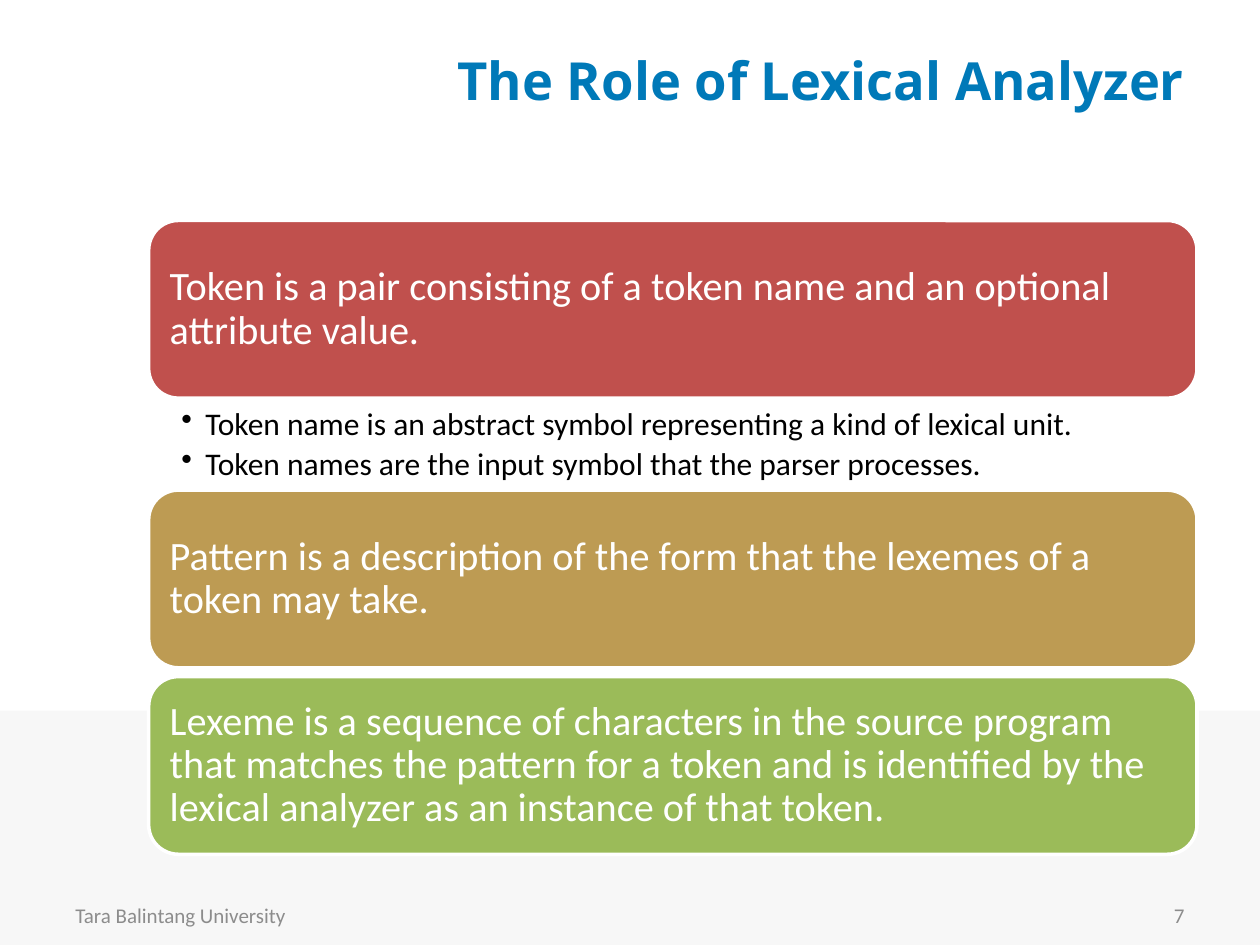
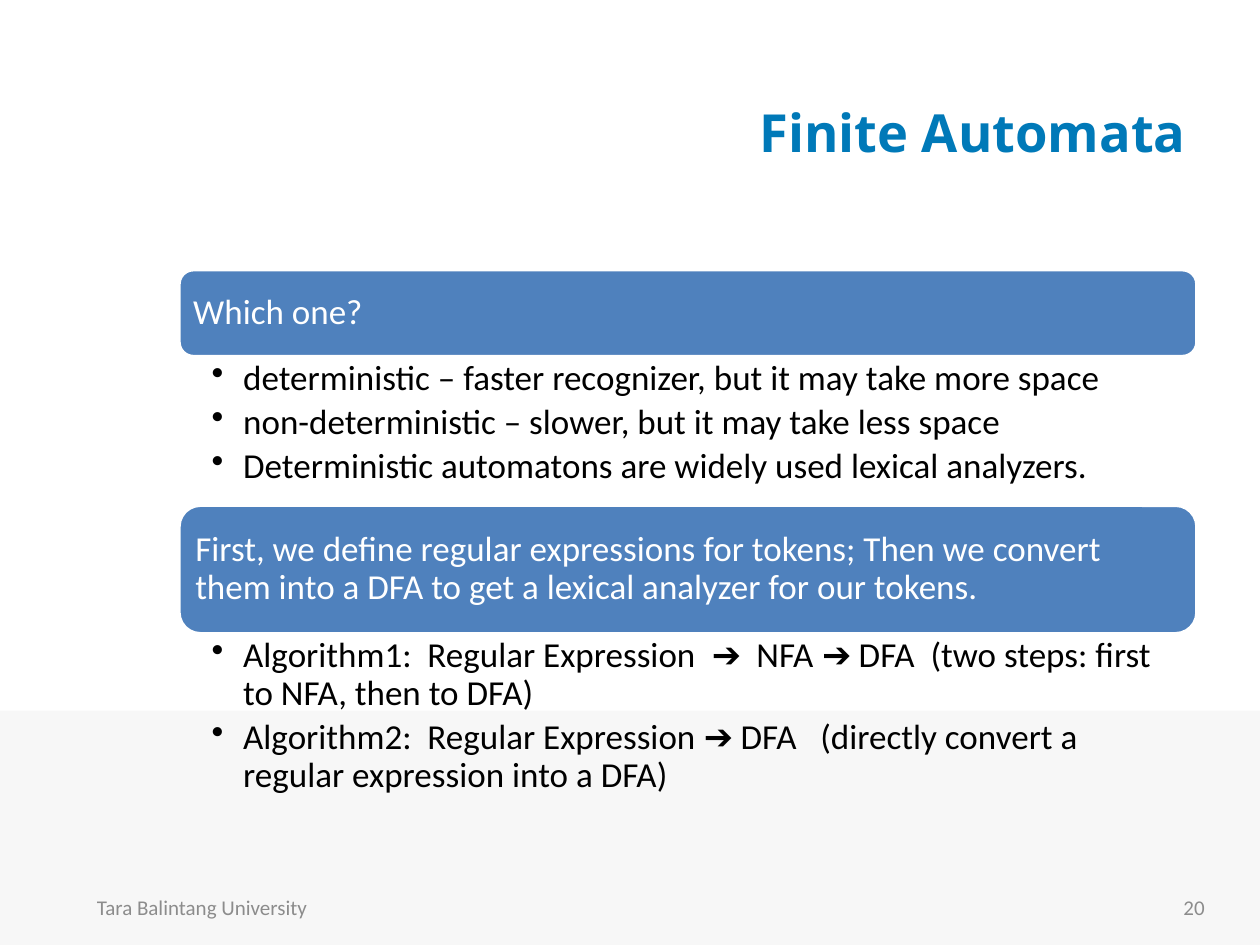
"""Build two lecture slides on lexical analysis."""
from dataclasses import dataclass

from lxml.etree import SubElement as Sub
from pptx import Presentation
from pptx.dml.color import RGBColor as RGB
from pptx.enum.shapes import MSO_SHAPE as Form
from pptx.enum.text import MSO_ANCHOR as Anchor, PP_ALIGN as Align
from pptx.oxml.ns import qn
from pptx.util import Pt

PX = 9144


@dataclass(frozen=True)
class Theme:
    title: str = "0079B8"
    foot: str = "8C8C8C"
    band: str = "F7F7F7"
    white: str = "FFFFFF"
    black: str = "000000"
    red: str = "C0504D"
    gold: str = "BD9B53"
    green: str = "9BBB59"
    blue: str = "4F81BD"
    head: str = "Open Sans"
    body: str = "Calibri"
    title_pt: int = 30
    foot_pt: int = 12


T = Theme()


def block(slide, box, fill=None, form=None):
    """Add a text box, or a filled shape when a form is given."""
    area = [n * PX for n in box]
    if form is None:
        shape = slide.shapes.add_textbox(*area)
    else:
        shape = slide.shapes.add_shape(form, *area)
        shape.shadow.inherit = False
        shape.fill.solid()
        shape.fill.fore_color.rgb = RGB.from_string(fill)
        shape.line.fill.background()
    return shape


def write(shape, lines, size, color, font=T.body, bold=False, align=Align.LEFT,
          anchor=Anchor.MIDDLE, pads=(10, 5, 10, 5), lead=1.0, hang=0):
    """Fill a shape with paragraphs, bulleted when hang is set."""
    frame = shape.text_frame
    frame.word_wrap = True
    frame.vertical_anchor = anchor
    (frame.margin_left, frame.margin_top,
     frame.margin_right, frame.margin_bottom) = [n * PX for n in pads]
    for i, line in enumerate(lines):
        para = frame.add_paragraph() if i else frame.paragraphs[0]
        para.alignment = align
        para.line_spacing = lead
        run = para.add_run()
        run.text = line
        run.font.name = font
        run.font.size = Pt(size)
        run.font.bold = bold
        run.font.color.rgb = RGB.from_string(color)
        if hang:
            para.space_after = Pt(size * 0.18)
            props = para._p.get_or_add_pPr()
            props.set("marL", str(hang * PX))
            props.set("indent", str(-hang * PX))
            Sub(props, qn("a:buChar")).set("char", "•")


pages = [
    dict(
        title="The Role of Lexical Analyzer", title_box=(317, 17, 633, 92),
        number="7", foot=(50, 717, 706), left=118, width=832,
        bar_pt=23, list_pt=18, pad=10, hang=19, end=18,
        bars=[
            (175, 141, T.red,
             "Token is a pair consisting of a token name and an optional attribute value."),
            (389, 141, T.gold,
             "Pattern is a description of the form that the lexemes of a token may take."),
            (537, 141, T.green,
             "Lexeme is a sequence of characters in the source program that matches "
             "the pattern for a token and is identified by the lexical analyzer as an "
             "instance of that token."),
        ],
        lists=[
            (321, 68, [
                "Token name is an abstract symbol representing a kind of lexical unit.",
                "Token names are the input symbol that the parser processes."]),
        ],
    ),
    dict(
        title="Finite Automata", title_box=(178, 42, 773, 125),
        number="20", foot=(67, 733, 700), left=142, width=808,
        bar_pt=20, list_pt=20, pad=8, hang=25, end=16,
        bars=[
            (214, 69, T.blue, "Which one?"),
            (401, 102, T.blue,
             "First, we define regular expressions for tokens; Then we convert them "
             "into a DFA to get a lexical analyzer for our tokens."),
        ],
        lists=[
            (283, 118, [
                "deterministic – faster recognizer, but it may take more space",
                "non-deterministic – slower, but it may take less space",
                "Deterministic automatons are widely used lexical analyzers."]),
            (503, 136, [
                "Algorithm1:  Regular Expression  ➔  NFA ➔ DFA  (two steps: first "
                "to NFA, then to DFA)",
                "Algorithm2:  Regular Expression ➔ DFA   (directly convert a "
                "regular expression into a DFA)"]),
        ],
    ),
]

deck = Presentation()
deck.slide_width = 1000 * PX
deck.slide_height = 750 * PX

for page in pages:
    slide = deck.slides.add_slide(deck.slide_layouts[6])
    left, width, pad = page["left"], page["width"], page["pad"]
    block(slide, (0, 564, 1000, 186), T.band, Form.RECTANGLE)
    write(block(slide, page["title_box"]), [page["title"]], T.title_pt, T.title,
          font=T.head, bold=True, align=Align.RIGHT)

    for top, height, fill, text in page["bars"]:
        bar = block(slide, (left, top, width, height), fill, Form.ROUNDED_RECTANGLE)
        bar.line.color.rgb = RGB.from_string(T.white)
        bar.line.width = Pt(2)
        write(bar, [text], page["bar_pt"], T.white, pads=(pad,) * 4, lead=0.9)

    for top, height, lines in page["lists"]:
        write(block(slide, (left, top, width, height)), lines, page["list_pt"], T.black,
              anchor=Anchor.TOP, pads=(26, 3, page["end"], 3), lead=0.9,
              hang=page["hang"])

    start, stop, top = page["foot"]
    for x, text, align in ((start, "Tara Balintang University", Align.LEFT),
                           (stop, page["number"], Align.RIGHT)):
        write(block(slide, (x, top, 233, 40)), [text], T.foot_pt, T.foot, align=align)

deck.save("out.pptx")
